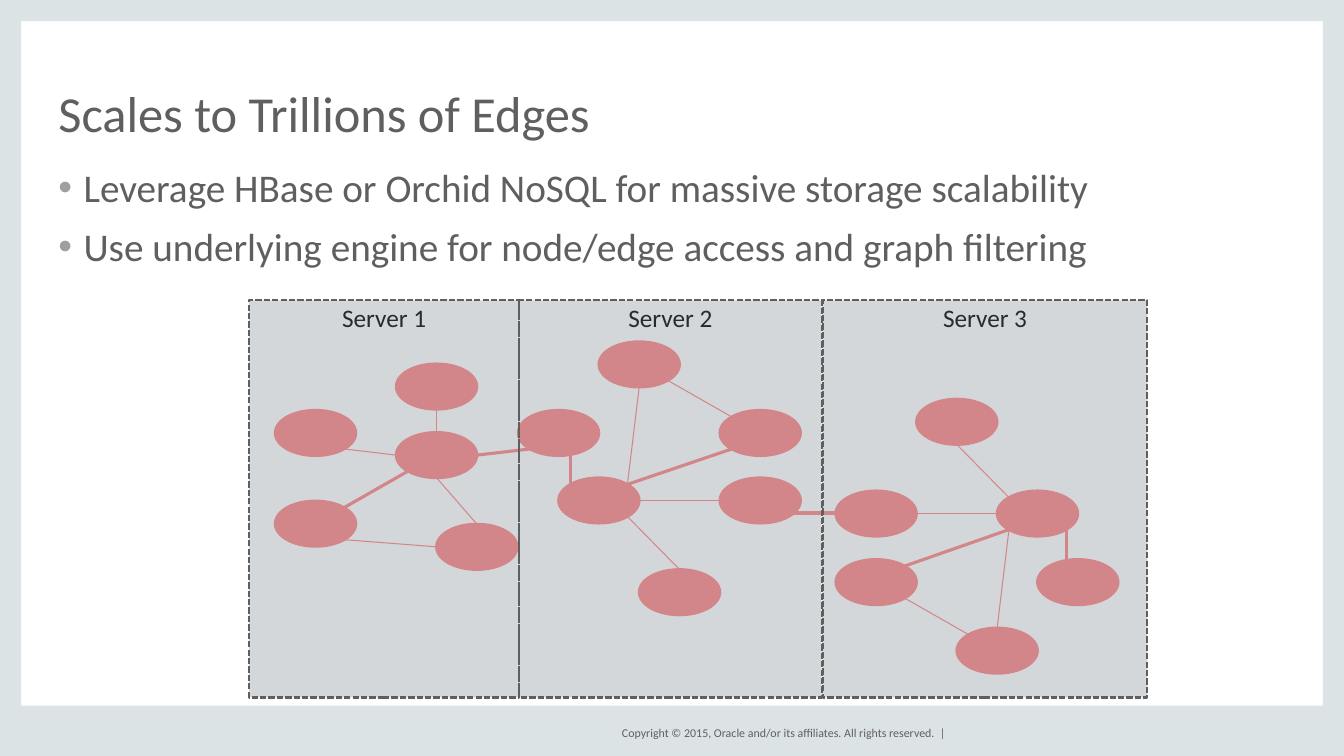
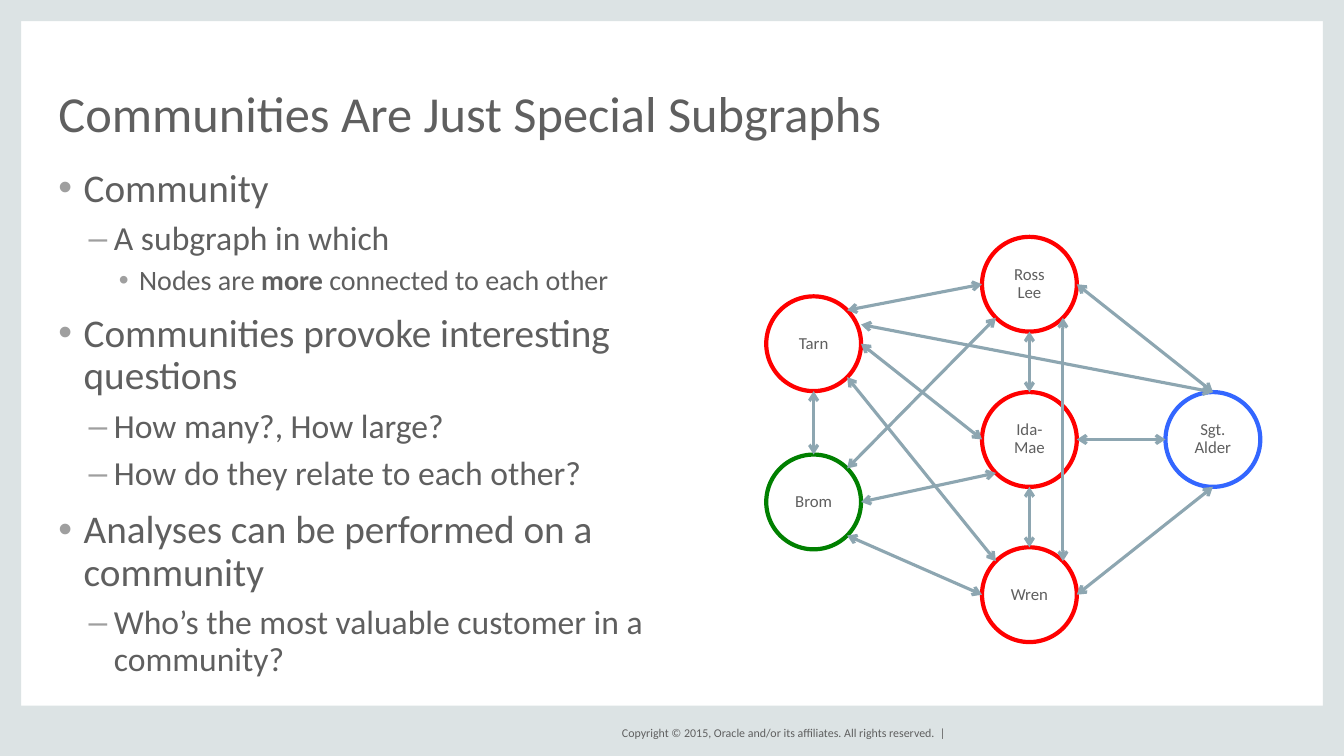
from dataclasses import dataclass
from math import sqrt

from lxml.etree import SubElement
from pptx import Presentation
from pptx.dml.color import RGBColor
from pptx.enum.dml import MSO_LINE
from pptx.enum.shapes import MSO_CONNECTOR, MSO_SHAPE
from pptx.enum.text import MSO_ANCHOR, PP_ALIGN
from pptx.oxml.ns import qn
from pptx.util import Pt

PX = 9144  # 100 px to the inch
WIDTH, HEIGHT = 1333, 750


@dataclass(frozen=True)
class Theme:
    font: str = "Calibri"
    text: str = "5F5F5F"
    bullet: str = "9F9F9F"
    band: str = "DCE3E4"
    vertex: str = "FF9696"
    server: str = "41555E"
    server_text: str = "232C2F"
    arrow: str = "8DA6B1"
    white: str = "FFFFFF"
    red: str = "FF0000"
    green: str = "008000"
    blue: str = "3366FF"
    title_size: float = 36
    server_size: float = 18
    member_size: float = 12
    footer_size: float = 8.5


THEME = Theme()

# Per outline level: type size, left margin px, hanging px, space before, bullet
LEVELS = [(28, 25, 25, 12, "•"), (24, 55, 25, 8, "–"), (20, 80, 20, 6, "•")]

COMPASS = {"N": (0, -1), "NE": (1, -1), "E": (1, 0), "SE": (1, 1),
           "S": (0, 1), "SW": (-1, 1), "W": (-1, 0), "NW": (-1, -1)}


def write(frame, text, size, color=THEME.text, align=PP_ALIGN.LEFT,
          spacing=0.9, level=None):
    """Append a paragraph; text between ** marks is bold."""
    frame.word_wrap = True
    first = not frame.text
    para = frame.paragraphs[0] if first else frame.add_paragraph()
    para.alignment = align
    para.line_spacing = spacing
    if level is not None:
        size, margin, hanging, before, mark = LEVELS[level]
        if not first:
            para.space_before = Pt(before)
        para.level = level
        properties = para._p.get_or_add_pPr()
        properties.set("marL", str(margin * PX))
        properties.set("indent", str(-hanging * PX))
        SubElement(SubElement(properties, qn("a:buClr")), qn("a:srgbClr"), val=THEME.bullet)
        SubElement(properties, qn("a:buFont"), typeface="Arial")
        SubElement(properties, qn("a:buChar"), char=mark)
    for index, piece in enumerate(text.split("**")):
        span = para.add_run()
        span.text = piece
        span.font.name = THEME.font
        span.font.size = Pt(size)
        span.font.bold = index % 2 == 1
        span.font.color.rgb = RGBColor.from_string(color)


def link(page, begin, end, color, width, arrows=False):
    """Draw a line; each end is (ellipse, compass side) or (x px, y px)."""
    points = []
    for first, second in (begin, end):
        if isinstance(second, str):
            across, down = COMPASS[second]
            reach = 1 / sqrt(across ** 2 + down ** 2) / 2
            points += [int(first.left + first.width * (0.5 + across * reach)),
                       int(first.top + first.height * (0.5 + down * reach))]
        else:
            points += [first * PX, second * PX]
    line = page.shapes.add_connector(MSO_CONNECTOR.STRAIGHT, *points)
    line.line.color.rgb = RGBColor.from_string(color)
    line.line.width = Pt(width)
    if arrows:
        for tag in ("a:headEnd", "a:tailEnd"):
            SubElement(line.line._get_or_add_ln(), qn(tag), type="arrow")
    SubElement(line._element.spPr, qn("a:effectLst"))


deck = Presentation()
deck.slide_width, deck.slide_height = WIDTH * PX, HEIGHT * PX

# What the slides share, with their titles and bullets
SLIDES = [
    ("Scales to Trillions of Edges", 1217, 109, [
        (0, "Leverage HBase or Orchid NoSQL for massive storage scalability"),
        (0, "Use underlying engine for node/edge access and graph filtering"),
    ]),
    ("Communities Are Just Special Subgraphs", 609, 483, [
        (0, "Community"),
        (1, "A subgraph in which"),
        (2, "Nodes are **more **connected to each other"),
        (0, "Communities provoke interesting questions"),
        (1, "How many?, How large?"),
        (1, "How do they relate to each other?"),
        (0, "Analyses can be performed on a community"),
        (1, "Who’s the most valuable customer in a community?"),
    ]),
]
BANDS = [(0, 0, 21, HEIGHT), (WIDTH - 21, 0, 21, HEIGHT),
         (0, 700, WIDTH, 50), (0, 0, WIDTH, 21)]
FOOTER = "Copyright © 2015, Oracle and/or its affiliates. All rights reserved.  |"

pages = []
for title, body_width, body_height, bullets in SLIDES:
    page = deck.slides.add_slide(deck.slide_layouts[6])
    pages.append(page)
    for band in BANDS:
        shape = page.shapes.add_shape(MSO_SHAPE.RECTANGLE, *(n * PX for n in band))
        shape.shadow.inherit = False
        shape.fill.solid()
        shape.fill.fore_color.rgb = RGBColor.from_string(THEME.band)
        shape.line.fill.background()

    frames = []
    for place, anchor in [((588, 717, 350, 20), MSO_ANCHOR.MIDDLE),
                          ((58, 44, 1217, 97), MSO_ANCHOR.BOTTOM),
                          ((58, 167, body_width, body_height), MSO_ANCHOR.TOP)]:
        frame = page.shapes.add_textbox(*(n * PX for n in place)).text_frame
        frame.margin_left = frame.margin_right = 0
        frame.margin_top = frame.margin_bottom = 0
        frame.vertical_anchor = anchor
        frames.append(frame)
    footer_frame, title_frame, body_frame = frames
    write(footer_frame, FOOTER, THEME.footer_size, align=PP_ALIGN.RIGHT, spacing=1.0)
    write(title_frame, title, THEME.title_size, spacing=0.8)
    for level, text in bullets:
        write(body_frame, text, None, level=level)

scale_page, community_page = pages

# Slide 1: a graph spread over three servers
VERTICES = {
    "1 west": (273, 407), "1 north": (393, 361), "1 hub": (393, 429),
    "1 south": (433, 520), "1 southwest": (273, 497),
    "2 west": (514, 407), "2 hub": (554, 474), "2 south": (634, 565),
    "2 east": (714, 474), "2 northeast": (714, 407), "2 north": (594, 339),
    "3 east": (1029, 555), "3 hub": (989, 487), "3 north": (909, 396),
    "3 west": (829, 487), "3 southwest": (829, 555), "3 south": (949, 623),
}
THIN, THICK = 0.75, 2.25
EDGES = [
    ("1 hub", "N", "1 north", "S", THIN),
    ("1 west", "SE", "1 hub", "W", THIN),
    ("1 hub", "SW", "1 southwest", "NE", THICK),
    ("1 hub", "S", "1 south", "N", THIN),
    ("1 south", "W", "1 southwest", "SE", THIN),
    ("1 hub", "E", "2 west", "SW", THICK),
    ("2 northeast", "NW", "2 north", "SE", THIN),
    ("2 northeast", "SW", "2 hub", "NE", THICK),
    ("2 north", "S", "2 hub", "NE", THIN),
    ("2 hub", "SE", "2 south", "N", THIN),
    ("2 hub", "E", "2 east", "W", THIN),
    ("3 southwest", "SE", "3 south", "NW", THIN),
    ("3 southwest", "NE", "3 hub", "SW", THICK),
    ("3 south", "N", "3 hub", "SW", THIN),
    ("3 hub", "NW", "3 north", "S", THIN),
    ("3 hub", "W", "3 west", "E", THIN),
]
SHORT_EDGES = [((566, 481), (566, 452)), ((788, 509), (829, 509)),
               ((1058, 525), (1058, 555))]
SERVERS = [("Server 1", 247, 268), ("Server 3", 816, 322), ("Server 2", 515, 300)]

vertices = {}
for name, (left, top) in VERTICES.items():
    vertex = scale_page.shapes.add_shape(
        MSO_SHAPE.OVAL, left * PX, top * PX, 80 * PX, 45 * PX)
    vertex.shadow.inherit = False
    vertex.fill.solid()
    vertex.fill.fore_color.rgb = RGBColor.from_string(THEME.vertex)
    vertex.line.color.rgb = RGBColor.from_string(THEME.vertex)
    vertex.line.width = Pt(2)
    vertices[name] = vertex

for source, leaving, target, entering, width in EDGES:
    link(scale_page, (vertices[source], leaving), (vertices[target], entering),
         THEME.vertex, width)
for begin, end in SHORT_EDGES:
    link(scale_page, begin, end, THEME.vertex, THICK)

for name, left, width in SERVERS:
    server = scale_page.shapes.add_shape(
        MSO_SHAPE.RECTANGLE, left * PX, 298 * PX, width * PX, 394 * PX)
    server.shadow.inherit = False
    server.fill.solid()
    server.fill.fore_color.rgb = RGBColor.from_string(THEME.server)
    tint = server._element.spPr.find(qn("a:solidFill")).find(qn("a:srgbClr"))
    SubElement(tint, qn("a:alpha"), val="23000")
    server.line.color.rgb = RGBColor.from_string(THEME.text)
    server.line.width = Pt(1.5)
    server.line.dash_style = MSO_LINE.SQUARE_DOT
    server.text_frame.vertical_anchor = MSO_ANCHOR.TOP
    write(server.text_frame, name, THEME.server_size, color=THEME.server_text,
          align=PP_ALIGN.CENTER)

# Slide 2: the members of a community
MEMBERS = {
    "Brom": (760, 451, THEME.green, ["Brom"]),
    "Tarn": (760, 294, THEME.red, ["Tarn"]),
    "Ida": (974, 389, THEME.red, ["Ida-Mae"]),
    "Wren": (974, 543, THEME.red, ["Wren"]),
    "Ross": (974, 235, THEME.red, ["Ross Lee"]),
    "Alder": (1156, 389, THEME.blue, ["Sgt.", "Alder"]),
}
FRIENDSHIPS = [
    ("Tarn", "NE", "Ross", "W"), ("Tarn", "E", "Ida", "W"),
    ("Tarn", "SE", "Wren", "NW"), ("Tarn", "S", "Brom", "N"),
    ("Wren", "NE", "Ross", "SE"), ("Ida", "N", "Ross", "S"),
    ("Brom", "NE", "Ross", "SW"), ("Wren", "N", "Ida", "S"),
    ("Brom", "E", "Ida", "SW"), ("Wren", "W", "Brom", "SE"),
    ("Ross", "E", "Alder", "N"), ("Ida", "E", "Alder", "W"),
    ("Wren", "E", "Alder", "S"),
]

members = {}
for name, (left, top, color, lines) in MEMBERS.items():
    member = community_page.shapes.add_shape(
        MSO_SHAPE.OVAL, left * PX, top * PX, 94 * PX, 94 * PX)
    member.shadow.inherit = False
    member.fill.solid()
    member.fill.fore_color.rgb = RGBColor.from_string(THEME.white)
    member.line.color.rgb = RGBColor.from_string(color)
    member.line.width = Pt(3)
    member.text_frame.vertical_anchor = MSO_ANCHOR.MIDDLE
    for text in lines:
        write(member.text_frame, text, THEME.member_size, align=PP_ALIGN.CENTER)
    members[name] = member

for source, leaving, target, entering in FRIENDSHIPS:
    link(community_page, (members[source], leaving), (members[target], entering),
         THEME.arrow, THICK, arrows=True)
link(community_page, (854, 322), (members["Alder"], "N"), THEME.arrow, THICK, arrows=True)

deck.save("out.pptx")
